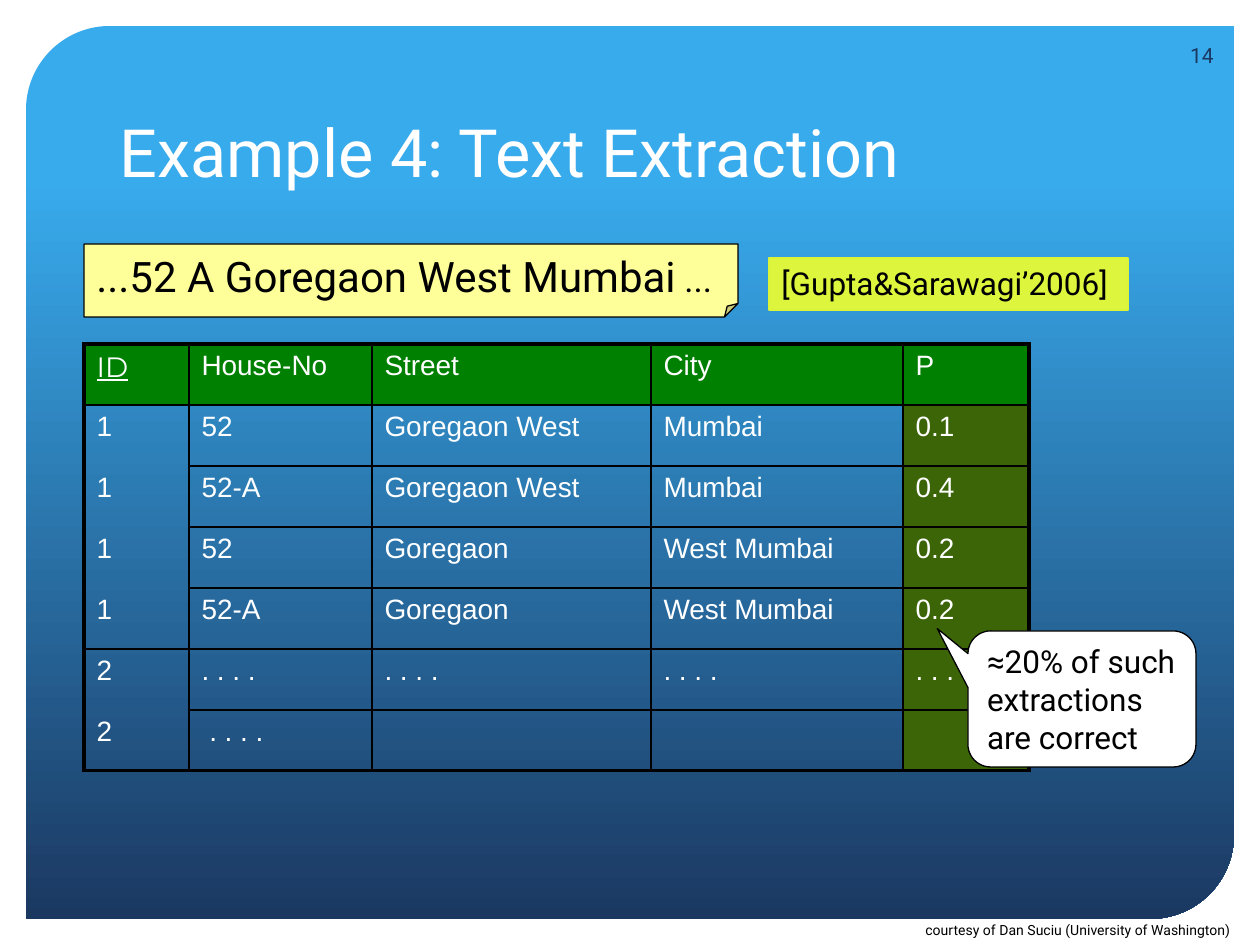
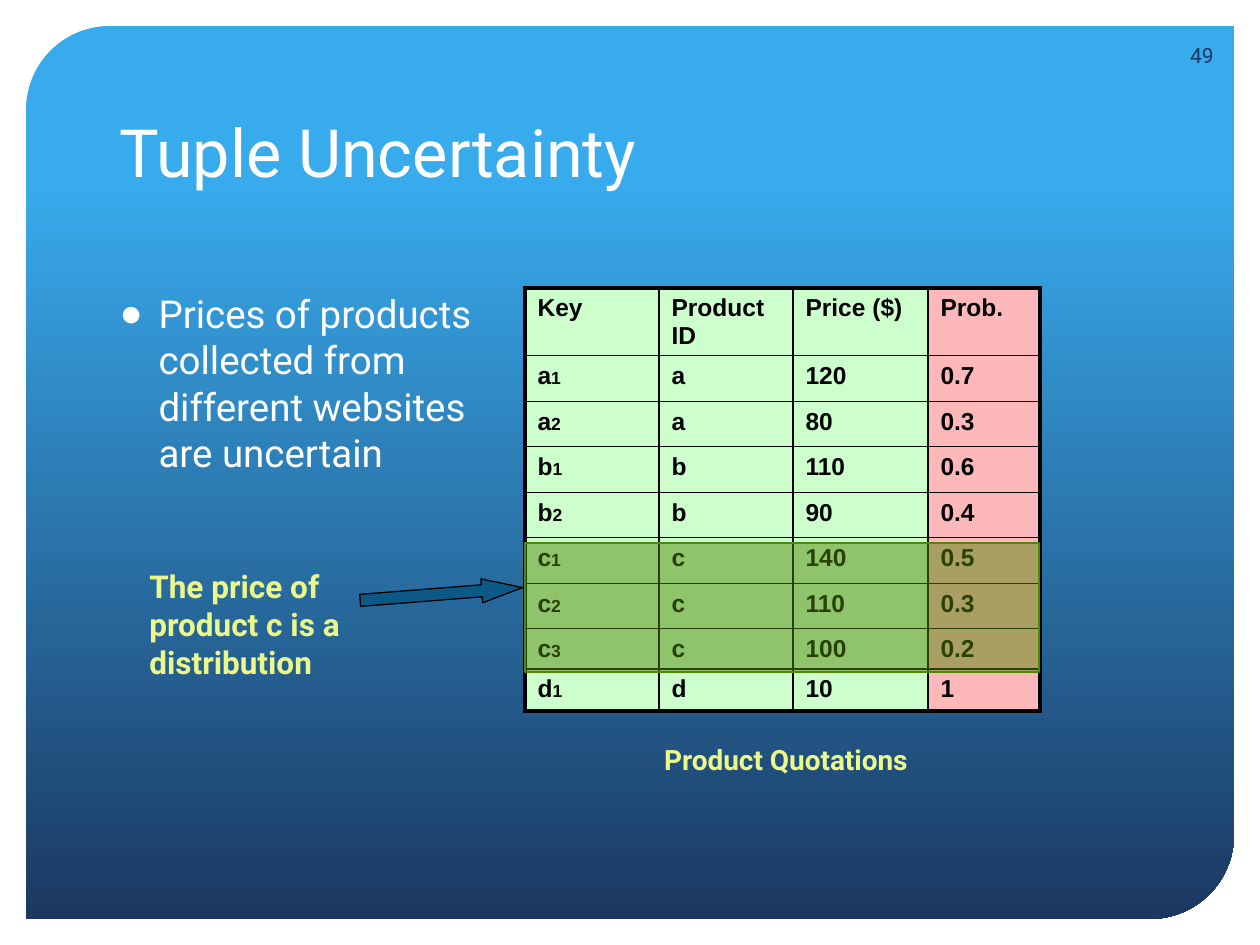
from dataclasses import dataclass
from typing import Optional

from lxml import etree
from pptx import Presentation
from pptx.dml.color import RGBColor
from pptx.enum.shapes import MSO_SHAPE as Shape
from pptx.enum.text import MSO_ANCHOR as Anchor, MSO_AUTO_SIZE as AutoSize, PP_ALIGN as Align
from pptx.oxml.ns import qn
from pptx.util import Emu, Pt

PX_PER_INCH = 126
FONT = "Roboto"
COLORS = {
    "sky": "38ABED", "navy": "1B3861", "white": "FFFFFF", "black": "000000",
    "lime": "DDF53D", "lime_edge": "DBF437", "note": "FFFF99", "pale_lime": "EBF98B",
    "green": "008000", "olive": "3C6507", "mint": "CCFFCC", "pink": "FFB8B9",
    "arrow": "0C5986", "highlight": "508709", "highlight_edge": "4F8706",
}


@dataclass(frozen=True)
class Box:
    x: int
    y: int
    w: int
    h: int

    def emu(self) -> tuple:
        return px(self.x), px(self.y), px(self.w), px(self.h)


@dataclass(frozen=True)
class Label:
    text: str
    size: int
    color: str = "black"
    bold: bool = False
    align: Align = Align.LEFT
    anchor: Anchor = Anchor.TOP
    wrap: bool = True
    grow: bool = True


@dataclass(frozen=True)
class Grid:
    """A bordered table; "a_1" in a cell sets the 1 small."""
    x: int
    y: int
    cols: tuple
    heights: tuple
    rows: list
    size: int
    color: str
    head_fills: tuple
    body_fills: tuple
    bold: bool = False
    join_equal_ids: bool = False


def px(n: int) -> Emu:
    return Emu(round(n * 914400 / PX_PER_INCH))


def rgb(name: str) -> RGBColor:
    return RGBColor.from_string(COLORS[name])


def set_font(font, size: int, color: str, name: str = FONT, bold: bool = False) -> None:
    font.name, font.size, font.bold = name, Pt(size), bold
    font.color.rgb = rgb(color)


def write(s, label: Label) -> None:
    tf = s.text_frame
    tf.word_wrap = label.wrap
    tf.vertical_anchor = label.anchor
    tf.auto_size = AutoSize.SHAPE_TO_FIT_TEXT if label.grow else AutoSize.NONE
    p = tf.paragraphs[0]
    p.text = label.text
    p.alignment = label.align
    set_font(p.font, label.size, label.color, bold=label.bold)


def add_label(slide, box: Box, label: Label) -> None:
    write(slide.shapes.add_textbox(*box.emu()), label)


def set_adjustments(s, values: tuple) -> None:
    guides = s.element.spPr.find(qn("a:prstGeom")).find(qn("a:avLst"))
    guides.clear()
    for i, value in enumerate(values, 1):
        name = "adj" if len(values) == 1 else f"adj{i}"
        etree.SubElement(guides, qn("a:gd"), name=name, fmla=f"val {round(value * 100000)}")


def add_figure(slide, kind: Shape, box: Box, fill: Optional[str] = None,
               line: Optional[str] = None, adj: tuple = (), label: Optional[Label] = None):
    s = slide.shapes.add_shape(kind, *box.emu())
    s.shadow.inherit = False
    if adj:
        set_adjustments(s, adj)
    if fill:
        s.fill.solid()
        s.fill.fore_color.rgb = rgb(fill)
    if line:
        s.line.color.rgb = rgb(line)
        s.line.width = Pt(0.75)
    else:
        s.line.fill.background()
    if label:
        write(s, label)
    return s


# Tables
def set_borders(cell, widths: tuple) -> None:
    """Set left, right, top and bottom widths in points; 0 means no line."""
    tc_pr = cell._tc.get_or_add_tcPr()
    for i, (side, width) in enumerate(zip("LRTB", widths)):
        ln = etree.Element(qn(f"a:ln{side}"), w=str(int(Pt(width))))
        if width:
            fill = etree.SubElement(ln, qn("a:solidFill"))
            etree.SubElement(fill, qn("a:srgbClr"), val=COLORS["black"])
        else:
            etree.SubElement(ln, qn("a:noFill"))
        tc_pr.insert(i, ln)


def write_cell(cell, text: str, grid: Grid) -> None:
    p = cell.text_frame.paragraphs[0]
    p.space_before = Pt(3)
    main, _, index = text.partition("_")
    for part, size in ((main, grid.size), (index, 10)):
        if part:
            r = p.add_run()
            r.text = part
            set_font(r.font, size, grid.color, "Arial", grid.bold)


def add_grid(slide, grid: Grid):
    n_rows, n_cols = len(grid.rows), len(grid.cols)
    box = Box(grid.x, grid.y, sum(grid.cols), sum(grid.heights))
    table = slide.shapes.add_table(n_rows, n_cols, *box.emu()).table
    table.first_row = table.horz_banding = False
    for col, width in zip(table.columns, grid.cols):
        col.width = px(width)
    for row, height in zip(table.rows, grid.heights):
        row.height = px(height)

    def row_line(i: int, c: int) -> float:
        if i in (0, n_rows):
            return 2.25
        same_id = grid.rows[i - 1][0] == grid.rows[i][0]
        return 0 if grid.join_equal_ids and c == 0 and same_id else 1

    for i, texts in enumerate(grid.rows):
        fills = grid.body_fills if i else grid.head_fills
        for c, (text, fill) in enumerate(zip(texts, fills)):
            cell = table.cell(i, c)
            write_cell(cell, text, grid)
            if fill:
                cell.fill.solid()
                cell.fill.fore_color.rgb = rgb(fill)
            else:
                cell.fill.background()
            left = 1 if c else 2.25
            right = 1 if c < n_cols - 1 else 2.25
            set_borders(cell, (left, right, row_line(i, c), row_line(i + 1, c)))
    return table


# Shared frame
def add_panel(prs, slide) -> None:
    """Draw the gradient panel and move it to the slide master."""
    s = add_figure(slide, Shape.ROUND_2_DIAG_RECTANGLE, Box(26, 26, 1208, 893), adj=(0.094, 0))
    s.fill.gradient()
    s.fill.gradient_angle = 270
    for stop, position, color in zip(s.fill.gradient_stops, (0.17, 1), ("sky", "navy")):
        stop.position = position
        stop.color.rgb = rgb(color)
    prs.slide_master.shapes.element.insert(2, s.element)


def new_slide(prs, layout: int, title: str, number: int):
    slide = prs.slides.add_slide(prs.slide_layouts[layout])
    s = slide.shapes.title
    s.left, s.top, s.width, s.height = Box(107, 53, 1045, 144).emu()
    write(s, Label(title, 38, "white", anchor=Anchor.BOTTOM, grow=False))
    add_label(slide, Box(1158, 30, 68, 50),
              Label(str(number), 12, "navy", align=Align.RIGHT, anchor=Anchor.MIDDLE, grow=False))
    return slide


def add_bullet(slide, box: Box, text: str) -> None:
    s = slide.placeholders[1]
    s.left, s.top, s.width, s.height = box.emu()
    write(s, Label(text, 22, "white", grow=False))
    p = s.text_frame.paragraphs[0]
    p.space_before = Pt(20)
    p_pr = p._p.get_or_add_pPr()
    p_pr.set("marL", str(int(px(39))))
    p_pr.set("indent", str(int(px(-39))))
    bullet = etree.Element(qn("a:buChar"), char="●")
    p_pr.find(qn("a:spcBef")).addnext(bullet)


# Slides
def text_extraction(prs) -> None:
    slide = new_slide(prs, 5, "Example 4: Text Extraction", 14)
    add_panel(prs, slide)
    dots = ". . . ."
    table = add_grid(slide, Grid(
        84, 344, (105, 183, 279, 252, 126), (61,) * 7,
        [("ID", "House-No", "Street", "City", "P"),
         ("1", "52", "Goregaon West", "Mumbai", "0.1"),
         ("1", "52-A", "Goregaon West", "Mumbai", "0.4"),
         ("1", "52", "Goregaon", "West Mumbai", "0.2"),
         ("1", "52-A", "Goregaon", "West Mumbai", "0.2"),
         ("2", dots, dots, dots, dots),
         ("2", " " + dots, "", "", "")],
        16, "white", ("green",) * 5, (None,) * 4 + ("olive",), join_equal_ids=True))
    id_font = table.cell(0, 0).text_frame.paragraphs[0].runs[0].font
    id_font.name, id_font.underline = "Montserrat", True

    add_figure(slide, Shape.RECTANGLE, Box(769, 258, 359, 52), "lime", "lime_edge",
               label=Label("[Gupta&Sarawagi’2006]", 18, wrap=False))
    note = add_figure(slide, Shape.FOLDED_CORNER, Box(84, 244, 654, 73), "note", "black", (0.184,),
                      Label("...52 A Goregaon West Mumbai", 24, wrap=False))
    r = note.text_frame.paragraphs[0].add_run()
    r.text = " ..."
    r.font.size = Pt(20)
    add_figure(slide, Shape.ROUNDED_RECTANGULAR_CALLOUT, Box(968, 631, 228, 136),
               "white", "black", (-0.635, -0.518, 0.167),
               Label("≈20% of such\nextractions\nare correct", 18, anchor=Anchor.MIDDLE, wrap=False))
    add_label(slide, Box(913, 915, 337, 30),
              Label("courtesy of Dan Suciu (University of Washington)", 8))


def tuple_uncertainty(prs) -> None:
    slide = new_slide(prs, 1, "Tuple Uncertainty", 49)
    add_bullet(slide, Box(107, 284, 386, 230),
               "Prices of products collected from different websites are uncertain")
    fills = ("mint",) * 3 + ("pink",)
    add_grid(slide, Grid(
        525, 288, (134, 134, 135, 112), (67, 46, 45, 46, 45, 46, 45, 40, 42),
        [("Key", "Product ID", "Price ($)", "Prob."),
         ("a_1", "a", "120", "0.7"),
         ("a_2", "a", "80", "0.3"),
         ("b_1", "b", "110", "0.6"),
         ("b_2", "b", "90", "0.4"),
         ("c_1", "c", "140", "0.5"),
         ("c_2", "c", "110", "0.3"),
         ("c_3", "c", "100", "0.2"),
         ("d_1", "d", "10", "1")],
        14, "black", fills, fills, bold=True))
    add_label(slide, Box(137, 561, 243, 126),
              Label("The price of product c is a distribution", 18, "pale_lime", bold=True))
    arrow = add_figure(slide, Shape.RIGHT_ARROW, Box(360, 582, 163, 24), "arrow", "black", (0.5, 1.709))
    arrow.rotation = 355.5
    add_label(slide, Box(534, 736, 504, 47),
              Label("Product Quotations", 16, "pale_lime", bold=True, align=Align.CENTER))
    # Translucent band over the rows of product c
    band = add_figure(slide, Shape.RECTANGLE, Box(525, 543, 514, 129), "highlight", "highlight_edge")
    color = band.element.spPr.find(qn("a:solidFill")).find(qn("a:srgbClr"))
    etree.SubElement(color, qn("a:alpha"), val="49000")


def main() -> None:
    prs = Presentation()
    prs.slide_width, prs.slide_height = px(1260), px(945)
    text_extraction(prs)
    tuple_uncertainty(prs)
    prs.save("out.pptx")


if __name__ == "__main__":
    main()
